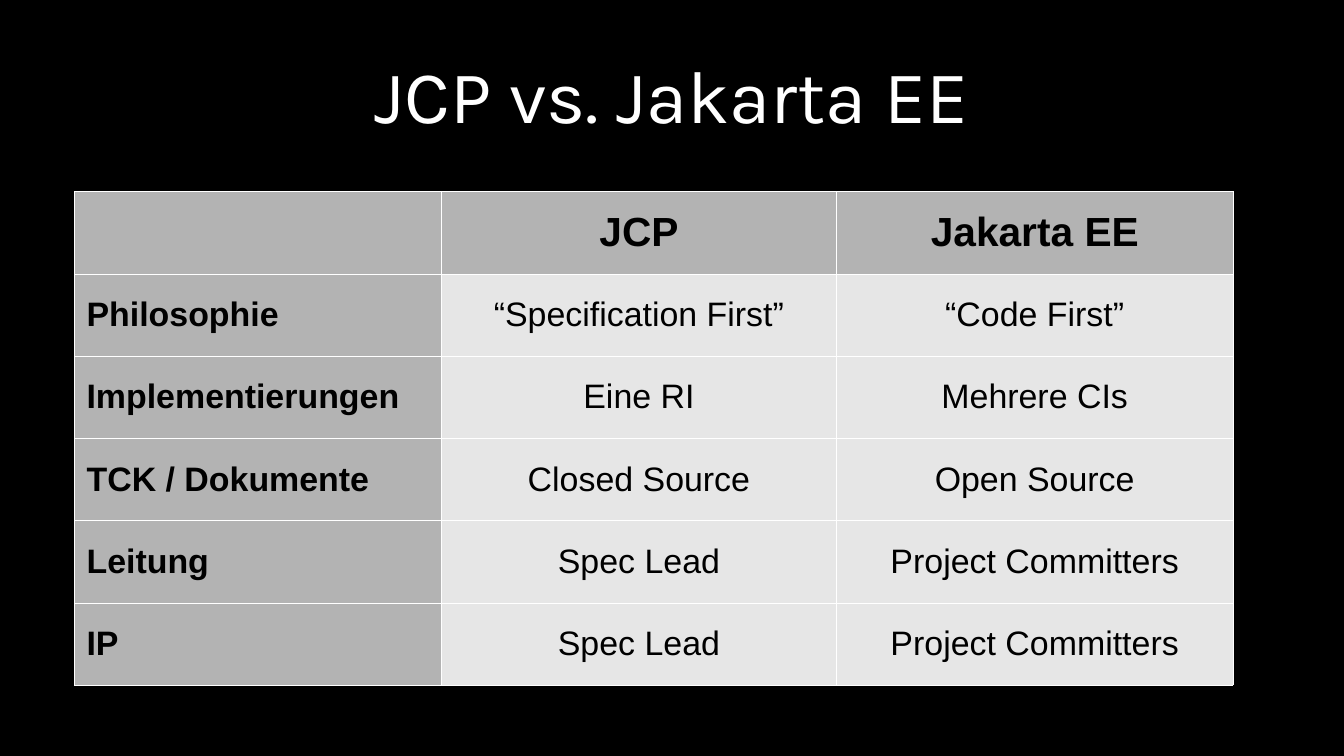
from pptx import Presentation
from pptx.dml.color import RGBColor
from pptx.enum.text import MSO_ANCHOR as Anchor, PP_ALIGN as Align
from pptx.oxml import parse_xml
from pptx.oxml.ns import nsdecls
from pptx.util import Inches, Pt

# Content
TITLE = "JCP vs. Jakarta EE"
ROWS = [
    ("", "JCP", "Jakarta EE"),
    ("Philosophie", "“Specification First”", "“Code First”"),
    ("Implementierungen", "Eine RI", "Mehrere CIs"),
    ("TCK / Dokumente", "Closed Source", "Open Source"),
    ("Leitung", "Spec Lead", "Project Committers"),
    ("IP", "Spec Lead", "Project Committers"),
]

# Colours
BLACK = RGBColor(0x00, 0x00, 0x00)
WHITE = RGBColor(0xFF, 0xFF, 0xFF)
HEADING_GREY = RGBColor(0xB3, 0xB3, 0xB3)
VALUE_GREY = RGBColor(0xE6, 0xE6, 0xE6)

# Layout in inches
SLIDE_W, SLIDE_H = 11.02, 6.2
TITLE_W, TITLE_TOP, TITLE_H = 9.92, 0.25, 1.04
TABLE_LEFT, TABLE_TOP, TABLE_H = 0.61, 1.57, 4.05
COLUMNS = (3.01, 3.24, 3.25)
BORDER = Pt(0.06)


def write(tf, text, size, font="Arial", color=BLACK, bold=False, align=Align.CENTER):
    p = tf.paragraphs[0]
    p.alignment = align
    r = p.add_run()
    r.text = text
    r.font.name, r.font.size, r.font.bold = font, Pt(size), bold
    r.font.color.rgb = color


def add_borders(cell):
    tc_pr = cell._tc.get_or_add_tcPr()
    for side in ("lnL", "lnR", "lnT", "lnB"):
        tc_pr.append(parse_xml(
            f'<a:{side} {nsdecls("a")} w="{BORDER}"><a:solidFill>'
            f'<a:srgbClr val="{WHITE}"/></a:solidFill></a:{side}>'))


prs = Presentation()
prs.slide_width, prs.slide_height = Inches(SLIDE_W), Inches(SLIDE_H)
slide = prs.slides.add_slide(prs.slide_layouts[6])
slide.background.fill.solid()
slide.background.fill.fore_color.rgb = BLACK

# Title, centred across the slide
title = slide.shapes.add_textbox(Inches((SLIDE_W - TITLE_W) / 2), Inches(TITLE_TOP),
                                 Inches(TITLE_W), Inches(TITLE_H))
tf = title.text_frame
tf.word_wrap = True
tf.vertical_anchor = Anchor.MIDDLE
tf.margin_left = tf.margin_right = tf.margin_top = tf.margin_bottom = 0
write(tf, TITLE, 44, font="Karla", color=WHITE)

# Comparison table
table = slide.shapes.add_table(len(ROWS), len(COLUMNS), Inches(TABLE_LEFT), Inches(TABLE_TOP),
                               Inches(sum(COLUMNS)), Inches(TABLE_H)).table
table.first_row = table.horz_banding = False
for column, width in zip(table.columns, COLUMNS):
    column.width = Inches(width)

for i, row in enumerate(ROWS):
    for j, text in enumerate(row):
        cell = table.cell(i, j)
        heading = i == 0 or j == 0
        add_borders(cell)
        cell.fill.solid()
        cell.fill.fore_color.rgb = HEADING_GREY if heading else VALUE_GREY
        cell.vertical_anchor = Anchor.MIDDLE
        if text:
            write(cell.text_frame, text, 24 if i == 0 else 20, bold=heading,
                  align=Align.LEFT if j == 0 else Align.CENTER)

prs.save("out.pptx")
